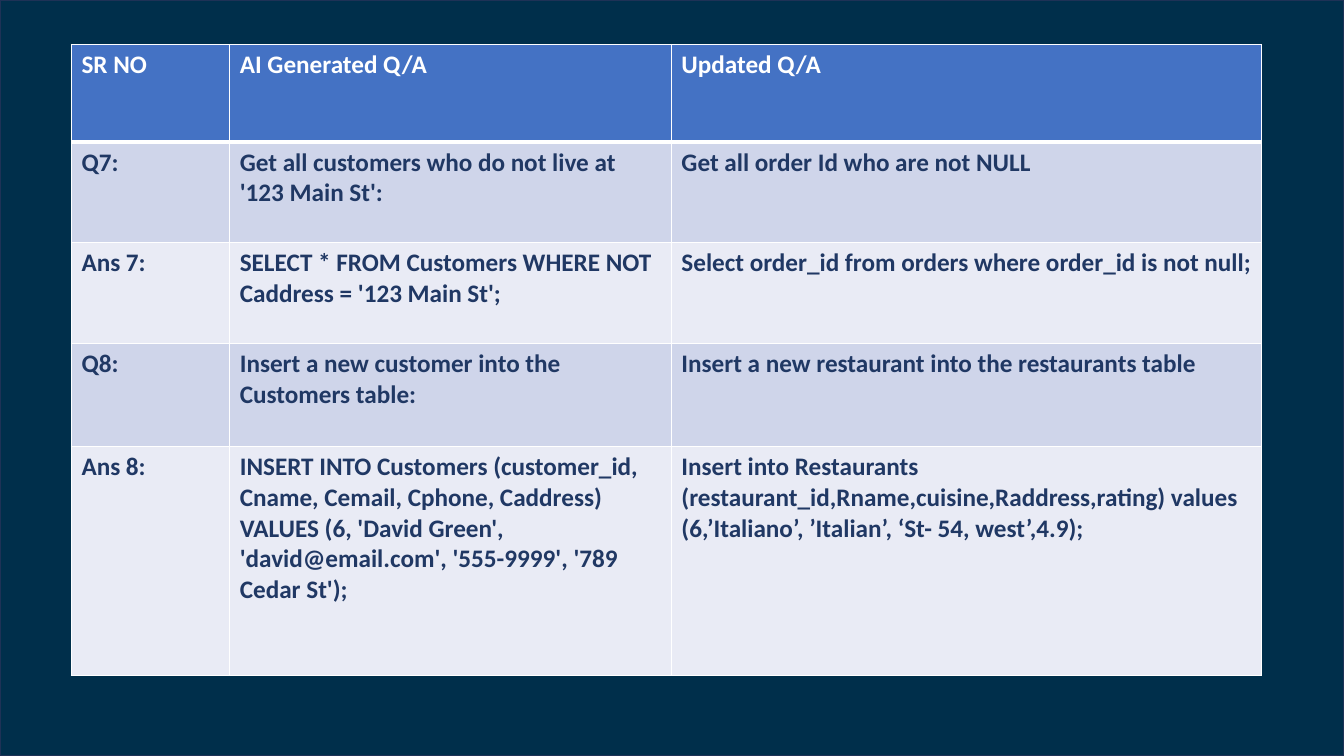
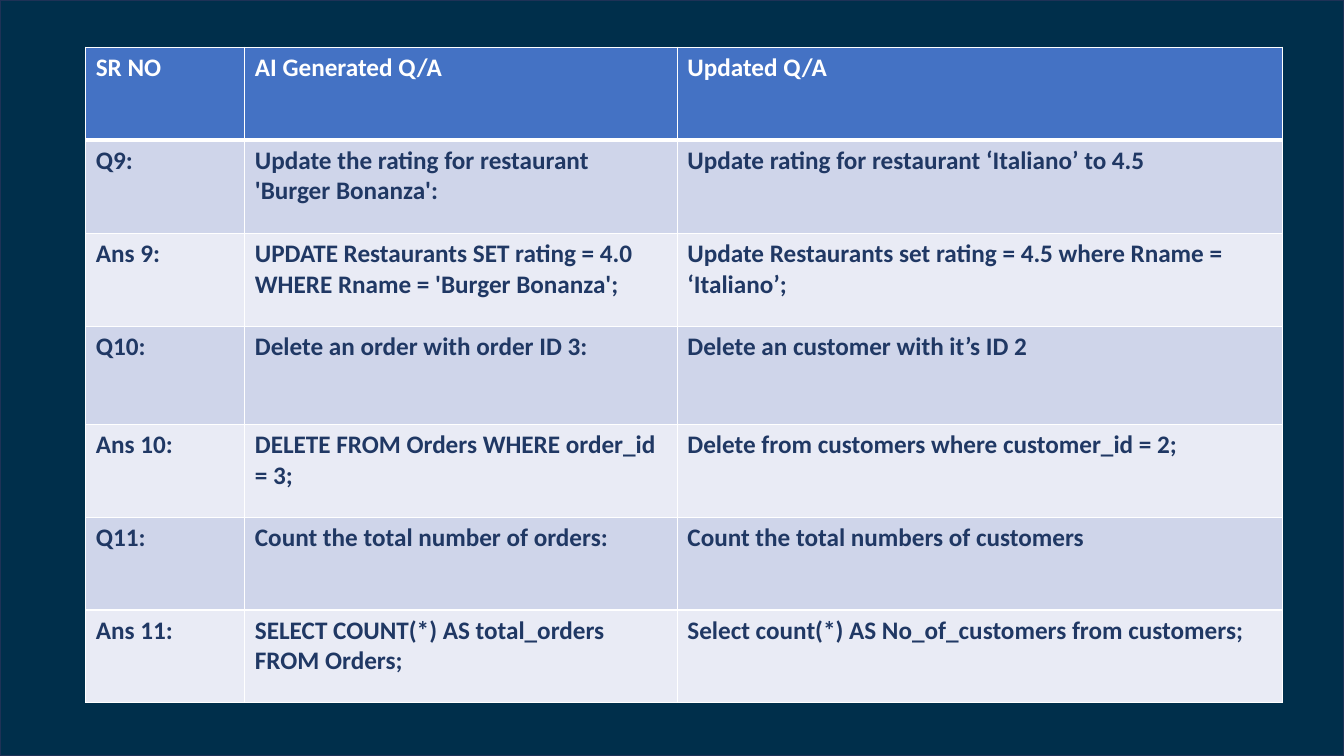
from dataclasses import dataclass

from lxml import etree
from pptx import Presentation
from pptx import util as u
from pptx.dml.color import RGBColor
from pptx.enum import shapes
from pptx.oxml.ns import qn


@dataclass(frozen=True)
class Theme:
    backdrop: str = "002F4B"
    backdrop_edge: str = "1E3256"
    header: str = "4472C4"
    bands: tuple = ("CFD5EA", "E9EBF5")
    ink: str = "203864"
    white: str = "FFFFFF"
    font: str = "Calibri"
    size: int = 18
    rule: int = 1
    header_rule: int = 3


THEME = Theme()
HEADINGS = ("SR NO", "AI Generated Q/A", "Updated Q/A")

# Each slide: table corner, column widths and row heights in cm, then the rows
SLIDES = [
    {
        "corner": (1.8, 1.12),
        "widths": (3.99, 11.13, 14.88),
        "heights": (2.46, 2.54, 2.54, 2.59, 5.77),
        "rows": [
            ("Q7:", "Get all customers who do not live at '123 Main St':",
             "Get all order Id who are not NULL"),
            ("Ans 7:", "SELECT * FROM Customers WHERE NOT Caddress = '123 Main St';",
             "Select order_id from orders where order_id is not null;"),
            ("Q8:", "Insert a new customer into the Customers table:",
             "Insert a new restaurant into the restaurants table"),
            ("Ans 8:",
             "INSERT INTO Customers (customer_id, Cname, Cemail, Cphone, Caddress)\n"
             "VALUES (6, 'David Green', 'david@email.com', '555-9999', '789 Cedar St');",
             "Insert into Restaurants (restaurant_id,Rname,cuisine,Raddress,rating) values\n"
             "(6,’Italiano’, ’Italian’, ‘St- 54, west’,4.9);"),
        ],
    },
    {
        "corner": (2.16, 1.19),
        "widths": (4.01, 10.9, 15.24),
        "heights": (2.34, 2.36, 2.34, 2.46, 2.34, 2.34, 2.34),
        "rows": [
            ("Q9:", "Update the rating for restaurant 'Burger Bonanza':",
             "Update rating for restaurant ‘Italiano’ to 4.5"),
            ("Ans 9:", "UPDATE Restaurants SET rating = 4.0 WHERE Rname = 'Burger Bonanza';",
             "Update Restaurants set rating = 4.5 where Rname = ‘Italiano’;"),
            ("Q10:", "Delete an order with order ID 3:",
             "Delete an customer with it’s ID 2"),
            ("Ans 10:", "DELETE FROM Orders WHERE order_id = 3;",
             "Delete from customers where customer_id = 2;"),
            ("Q11:", "Count the total number of orders:",
             "Count the total numbers of customers"),
            ("Ans 11:", "SELECT COUNT(*) AS total_orders FROM Orders;",
             "Select count(*) AS No_of_customers from customers;"),
        ],
    },
]


def set_borders(cell, row_index):
    """Rule all four sides, thicker between the header and the body."""
    properties = cell._tc.get_or_add_tcPr()
    for side in ("lnL", "lnR", "lnT", "lnB"):
        thick = (row_index, side) in ((0, "lnB"), (1, "lnT"))
        width = u.Pt(THEME.header_rule if thick else THEME.rule)
        line = etree.SubElement(properties, qn(f"a:{side}"), w=str(width))
        fill = etree.SubElement(line, qn("a:solidFill"))
        etree.SubElement(fill, qn("a:srgbClr"), val=THEME.white)


def fill_cell(cell, content, row_index):
    """Write one cell with the colours of its row."""
    is_header = row_index == 0
    set_borders(cell, row_index)
    cell.fill.solid()
    shade = THEME.header if is_header else THEME.bands[(row_index - 1) % 2]
    cell.fill.fore_color.rgb = RGBColor.from_string(shade)
    cell.text = content
    for para in cell.text_frame.paragraphs:
        para.font.name = THEME.font
        para.font.size = u.Pt(THEME.size)
        para.font.bold = True
        para.font.color.rgb = RGBColor.from_string(THEME.white if is_header else THEME.ink)


deck = Presentation()
deck.slide_width, deck.slide_height = u.Cm(33.87), u.Cm(19.05)
blank_layout = deck.slide_layouts[6]

for content in SLIDES:
    page = deck.slides.add_slide(blank_layout)

    # Dark backdrop
    backdrop = page.shapes.add_shape(
        shapes.MSO_SHAPE.RECTANGLE, 0, 0, deck.slide_width, deck.slide_height)
    backdrop.shadow.inherit = False
    backdrop.fill.solid()
    backdrop.fill.fore_color.rgb = RGBColor.from_string(THEME.backdrop)
    backdrop.line.color.rgb = RGBColor.from_string(THEME.backdrop_edge)
    backdrop.line.width = u.Pt(1)

    # Question and answer table
    rows = [HEADINGS, *content["rows"]]
    left, top = content["corner"]
    table = page.shapes.add_table(
        len(rows), len(HEADINGS), u.Cm(left), u.Cm(top),
        u.Cm(sum(content["widths"])), u.Cm(sum(content["heights"]))).table
    for column, width in zip(table.columns, content["widths"]):
        column.width = u.Cm(width)
    for row, height in zip(table.rows, content["heights"]):
        row.height = u.Cm(height)
    for row_index, texts in enumerate(rows):
        for column_index, words in enumerate(texts):
            fill_cell(table.cell(row_index, column_index), words, row_index)

deck.save("out.pptx")
